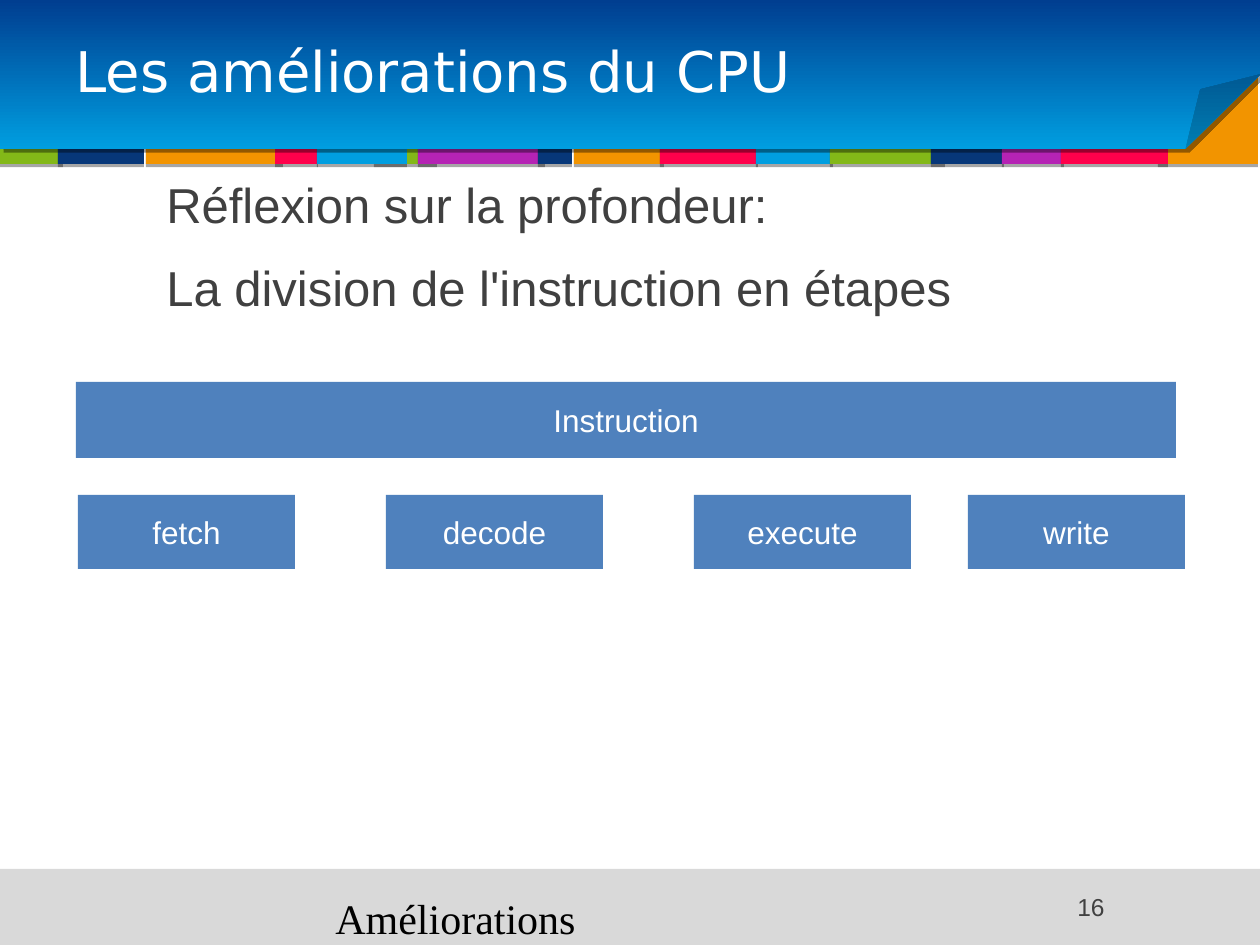
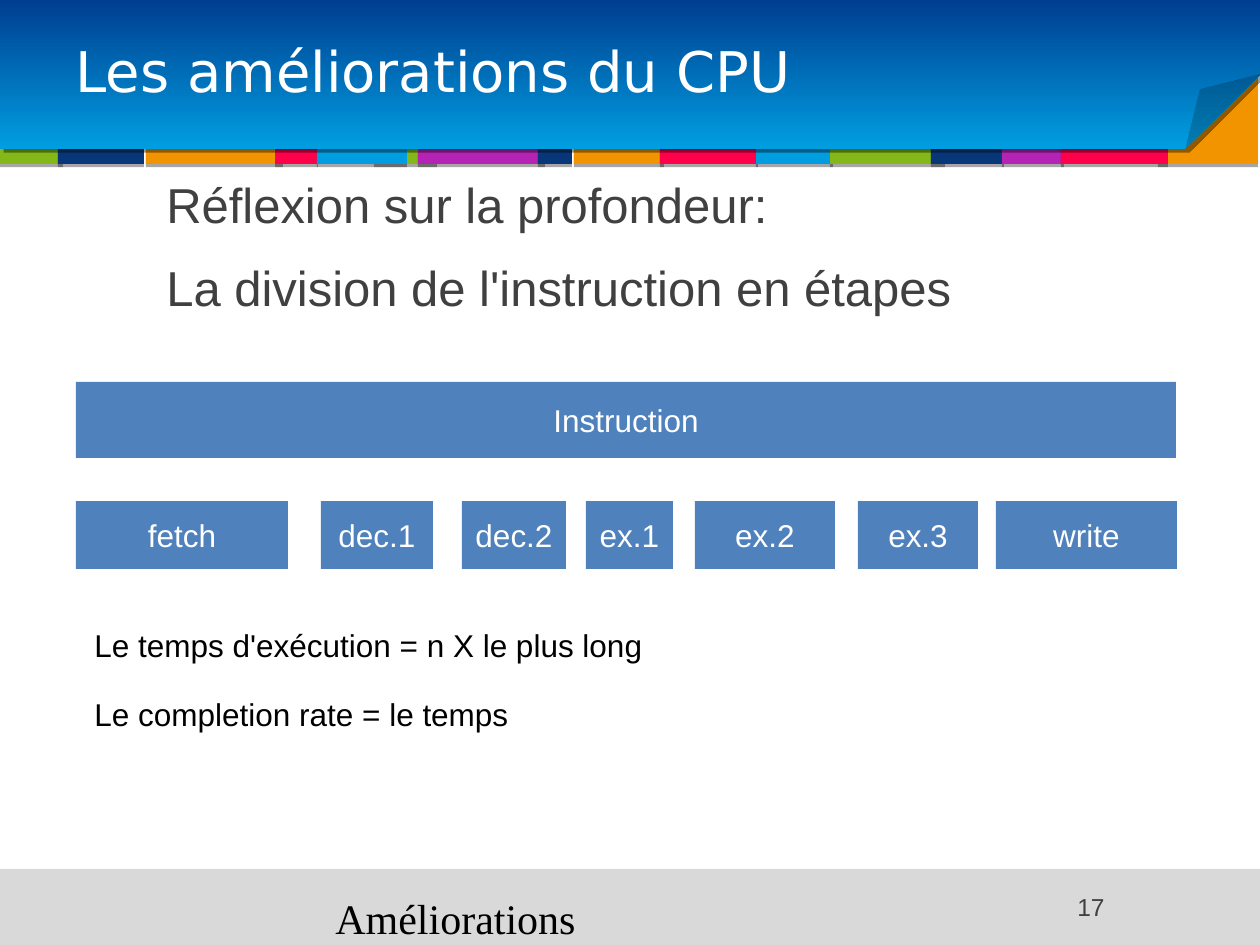
from lxml.etree import SubElement
from pptx import Presentation
from pptx.dml.color import RGBColor
from pptx.enum.shapes import MSO_SHAPE as Shape
from pptx.enum.text import MSO_ANCHOR as Anchor, MSO_AUTO_SIZE as AutoSize, PP_ALIGN as Align
from pptx.oxml.ns import qn
from pptx.util import Emu, Pt

SCALE = 914400 / 126  # EMU in one px
WIDTH, HEIGHT = 1260, 945

COLORS = {
    "green": "83B818", "navy": "073779", "orange": "F29400", "red": "FF014B",
    "sky": "009EE0", "purple": "B523B4", "deep": "003E90", "grey": "D9D9D9",
    "box": "4F81BD", "white": "FFFFFF", "dark": "404040", "black": "000000",
}

# Content
TITLE = "Les améliorations du CPU"
FOOTER = "Améliorations"
INTRO = ["Réflexion sur la profondeur:", "La division de l'instruction en étapes"]
INSTRUCTION = ("Instruction", (76, 382, 1100, 76))
STEP_WIDTH = 217
SLIDES = [
    {
        "number": "16", "top": 495, "height": 74,
        "steps": [("fetch", 78, STEP_WIDTH), ("decode", 386, STEP_WIDTH),
                  ("execute", 694, STEP_WIDTH), ("write", 968, STEP_WIDTH)],
        "notes": [],
    },
    {
        "number": "17", "top": 501, "height": 68,
        "steps": [("fetch", 76, 212), ("dec.1", 321, 112), ("dec.2", 462, 104),
                  ("ex.1", 586, 87), ("ex.2", 695, 140), ("ex.3", 858, 120),
                  ("write", 996, 181)],
        "notes": ["Le temps d'exécution = n X le plus long",
                  "Le completion rate = le temps"],
    },
]

# Coloured strip under the header: colour, left, width
STRIP_TOP, STRIP_HEIGHT = 103, 61
STRIP = [
    ("green", 374, 63), ("green", 0, 63), ("navy", 58, 86), ("orange", 146, 137),
    ("red", 275, 43), ("sky", 317, 90), ("purple", 418, 127), ("navy", 538, 34),
    ("orange", 574, 90), ("red", 660, 98), ("sky", 756, 77), ("green", 830, 115),
    ("navy", 931, 73), ("purple", 1002, 62), ("red", 1061, 107),
]
CORNER = (1158, 59, 100, 105)
HEADER = (0, 0, WIDTH, 149)
FOOTER_BAND = (0, 869, WIDTH, HEIGHT - 869)
TITLE_AT = (63, 9, 1134, 130)
FOOTER_AT = (323, 886, 615, 47)
NUMBER_AT = (968, 886, 149, 47)
INTRO_AT = (76, 168, 1134, 664)
INTRO_INDENT = 78
NOTES_LEFT, NOTES_TOP, NOTES_WIDTH, NOTES_HEIGHT, NOTES_STEP = 82, 620, 874, 50, 69


def px(length):
    return Emu(round(length * SCALE))


def rgb(name):
    return RGBColor.from_string(COLORS[name])


def write(shape, lines, size, color, font="Arial", align=None, anchor=Anchor.TOP):
    frame = shape.text_frame
    frame.text = "\n".join(lines)
    frame.word_wrap = True
    frame.auto_size = AutoSize.NONE
    frame.vertical_anchor = anchor
    for para in frame.paragraphs:
        para.alignment = align
        for span in para.runs:
            span.font.size = Pt(size)
            span.font.name = font
            span.font.color.rgb = rgb(color)
    return frame.paragraphs


def add_text(slide, at, lines, size, color, **style):
    box = slide.shapes.add_textbox(*map(px, at))
    return write(box, lines, size, color, **style)


def add_block(slide, at, color, kind=Shape.RECTANGLE):
    block = slide.shapes.add_shape(kind, *map(px, at))
    block.fill.solid()
    block.fill.fore_color.rgb = rgb(color)
    block.line.fill.background()
    block.shadow.inherit = False
    return block


def add_label(slide, text, at):
    block = add_block(slide, at, "box")
    write(block, [text], 18, "white", align=Align.CENTER, anchor=Anchor.MIDDLE)


def cast_shadow(shape, opacity=35, distance=1.8, angle=90):
    effects = shape.element.spPr.find(qn("a:effectLst"))
    shadow = SubElement(effects, qn("a:outerShdw"), blurRad="0", dist=str(Pt(distance)),
                        dir=str(angle * 60000), algn="ctr", rotWithShape="0")
    color = SubElement(shadow, qn("a:srgbClr"), val=COLORS["black"])
    SubElement(color, qn("a:alpha"), val=str(opacity * 1000))


def decorate_master(deck, slide):
    """Draw the shared bands on a slide, then move them to the master."""
    strip = [(color, (left, STRIP_TOP, width, STRIP_HEIGHT)) for color, left, width in STRIP]
    strip.insert(1, ("orange", CORNER))
    bands = [add_block(slide, at, color) for color, at in strip]

    # Header with its folded corner, half as high as the band
    header = add_block(slide, HEADER, "sky", Shape.FOLDED_CORNER)
    guides = header.element.spPr.find(qn("a:prstGeom")).get_or_add_avLst()
    SubElement(guides, qn("a:gd"), name="adj", fmla="val 50000")
    header.fill.gradient()
    header.fill.gradient_angle = 90
    for stop, color in zip(header.fill.gradient_stops, ("sky", "deep")):
        stop.color.rgb = rgb(color)
    cast_shadow(header, opacity=40, distance=3, angle=45)

    footer = add_block(slide, FOOTER_BAND, "grey")
    for band in bands + [footer]:
        cast_shadow(band)
    for shape in bands + [header, footer]:
        deck.slide_master.shapes.element.append(shape.element)


def fill_slide(slide, content):
    # Title and footer
    title = slide.shapes.title
    title.left, title.top, title.width, title.height = map(px, TITLE_AT)
    heading = write(title, [TITLE], 32, "white", font="DejaVu Sans",
                    align=Align.LEFT, anchor=Anchor.MIDDLE)
    heading[0].line_spacing = 0.9
    add_text(slide, FOOTER_AT, [FOOTER], 24, "black", font="Times New Roman")
    add_text(slide, NUMBER_AT, [content["number"]], 14, "dark", align=Align.RIGHT)

    # Introduction
    for para in add_text(slide, INTRO_AT, INTRO, 28, "dark"):
        para.space_before = Pt(14.2)
        properties = para._p.get_or_add_pPr()
        properties.set("marL", str(px(INTRO_INDENT)))
        properties.set("indent", "0")

    # Instruction and its steps
    add_label(slide, *INSTRUCTION)
    for text, left, width in content["steps"]:
        add_label(slide, text, (left, content["top"], width, content["height"]))

    # Remarks below the steps
    for row, note in enumerate(content["notes"]):
        at = (NOTES_LEFT, NOTES_TOP + row * NOTES_STEP, NOTES_WIDTH, NOTES_HEIGHT)
        add_text(slide, at, [note], 18, "black")


def main():
    deck = Presentation()
    deck.slide_width, deck.slide_height = px(WIDTH), px(HEIGHT)
    title_only = deck.slide_layouts[5]
    for index, content in enumerate(SLIDES):
        slide = deck.slides.add_slide(title_only)
        if index == 0:
            decorate_master(deck, slide)
        fill_slide(slide, content)
    deck.save("out.pptx")


if __name__ == "__main__":
    main()
